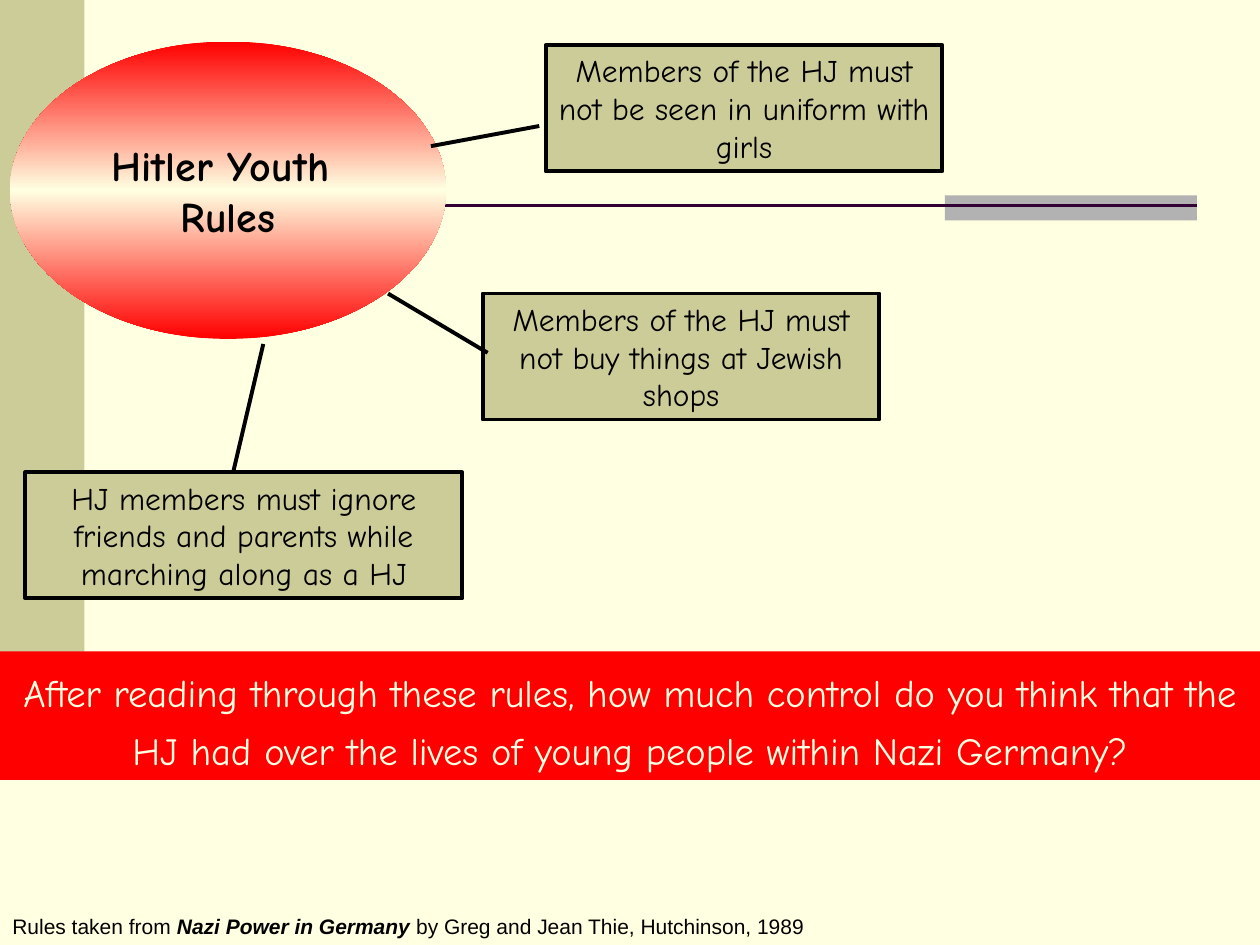
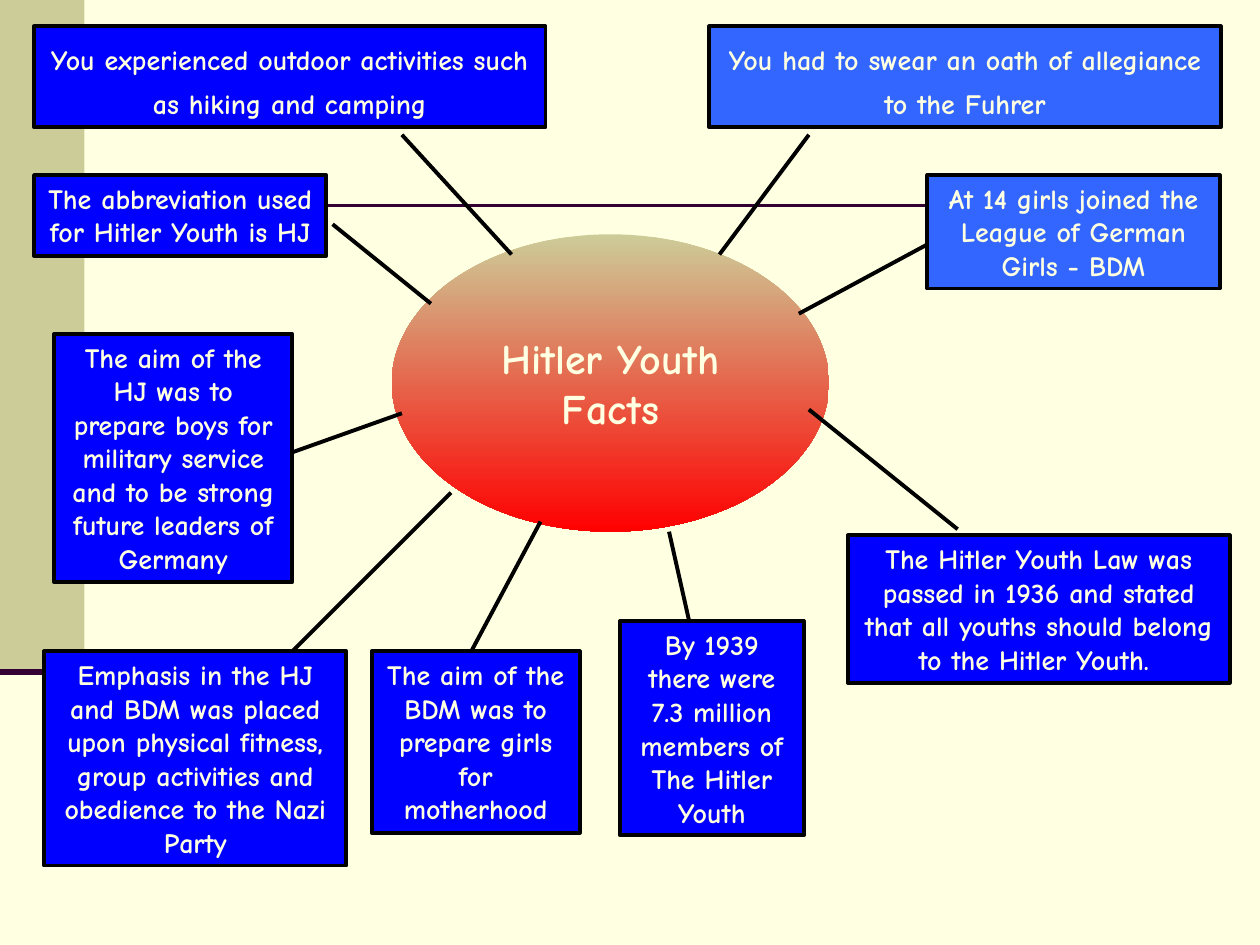
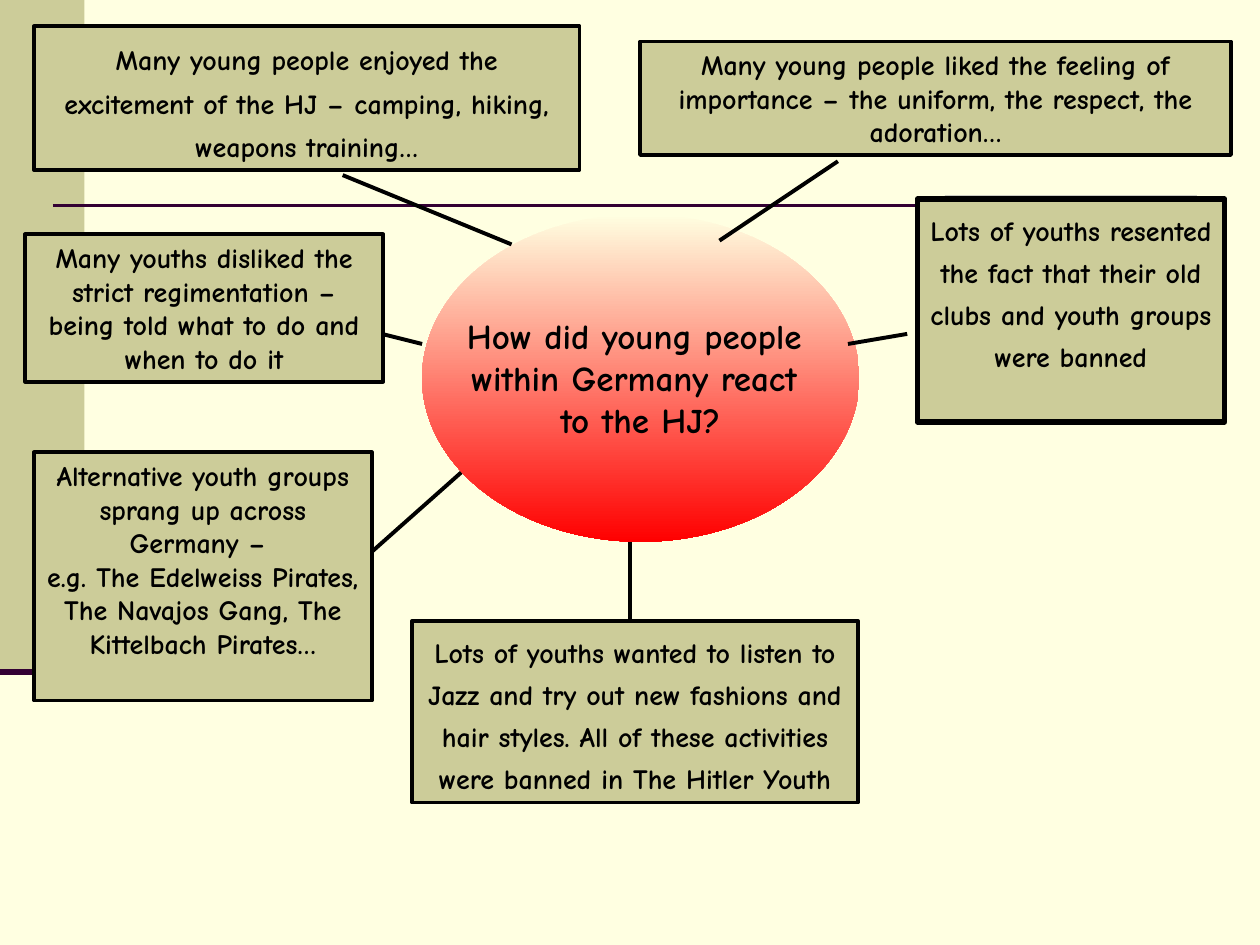
from copy import deepcopy

from lxml.etree import SubElement
from pptx import Presentation
from pptx.dml.color import RGBColor
from pptx.enum.shapes import MSO_CONNECTOR, MSO_SHAPE
from pptx.enum.text import MSO_ANCHOR, PP_ALIGN
from pptx.oxml.ns import qn
from pptx.util import Inches, Pt

CREAM = RGBColor(0xFF, 0xFF, 0xE1)
KHAKI = RGBColor(0xCC, 0xCC, 0x99)
GREY = RGBColor(0xB2, 0xB2, 0xB2)
PLUM = RGBColor(0x33, 0x00, 0x33)
RED = RGBColor(0xFF, 0x00, 0x00)
BLUE = RGBColor(0x00, 0x00, 0xFF)
SKY = RGBColor(0x33, 0x66, 0xFF)
BLACK = RGBColor(0x00, 0x00, 0x00)
FONT = "Comic Neue"

# Hub: text, place, size, gradient. Box: text, place, then any options.
# Link: x and y at the hub, x and y at the box. "\v" breaks a line.
RULES = {
    "hub": ("Hitler Youth \vRules", (0.08, 0.33, 3.46, 2.36), 24, (RED, CREAM, RED)),
    "style": {"fill": KHAKI, "color": BLACK, "size": 18, "bold": False},
    "boxes": [
        ("Members of the HJ must not be seen in uniform with girls",
         (4.33, 0.36, 3.15, 1), {}),
        ("Members of the HJ must not buy things at Jewish shops",
         (3.83, 2.33, 3.15, 1), {}),
        ("HJ members must ignore friends and parents while marching along as a HJ",
         (0.2, 3.75, 3.47, 1), {}),
    ],
    "links": [(3.42, 1.16, 4.28, 1), (3.08, 2.33, 3.87, 2.8), (2.09, 2.73, 1.85, 3.75)],
}
FACTS = {
    "hub": ("Hitler Youth\nFacts", (3.11, 1.86, 3.47, 2.36), 24, (KHAKI, RED)),
    "style": {"fill": BLUE, "color": CREAM, "size": 16, "bold": True},
    "boxes": [
        ("You had to swear an oath of allegiance to the Fuhrer",
         (5.63, 0.21, 4.06, 0.8), {"fill": SKY, "spacing": 1.3}),
        ("You experienced outdoor activities such as hiking and camping",
         (0.27, 0.21, 4.06, 0.8), {"spacing": 1.3}),
        ("The abbreviation used for Hitler Youth is HJ", (0.27, 1.39, 2.32, 0.64), {}),
        ("By 1939 there were 7.3 million members of The Hitler Youth",
         (4.92, 4.93, 1.46, 1.7), {}),
        ("The Hitler Youth Law was passed in 1936 and stated that all youths "
         "should belong to the Hitler Youth. ", (6.73, 4.25, 3.03, 1.17), {}),
        ("The aim of the BDM was to prepare girls for motherhood",
         (2.95, 5.17, 1.65, 1.44), {}),
        ("The aim of the HJ was to prepare boys for military service and to be "
         "strong future leaders of Germany", (0.43, 2.65, 1.89, 1.97), {}),
        ("Emphasis in the HJ and BDM was placed upon physical fitness, group "
         "activities and obedience to the Nazi Party", (0.35, 5.17, 2.4, 1.7), {}),
        ("At 14 girls joined the League of German Girls - BDM",
         (7.36, 1.39, 2.32, 0.9), {"fill": SKY}),
    ],
    "links": [
        (5.71, 2.02, 6.42, 1.07), (4.06, 2.02, 3.19, 1.07), (3.42, 2.41, 2.64, 1.78),
        (6.34, 2.49, 7.36, 1.94), (3.19, 3.28, 2.32, 3.59), (3.58, 3.91, 2.32, 5.17),
        (6.42, 3.25, 7.6, 4.2), (5.31, 4.22, 5.47, 4.93), (4.29, 4.14, 3.74, 5.17),
    ],
}
VIEWS = {
    "hub": ("How did young people \vwithin Germany react \vto the HJ?",
            (3.35, 1.7, 3.47, 2.6), 20, (CREAM, RED)),
    "style": {"fill": KHAKI, "color": BLACK, "size": 16, "bold": True},
    "boxes": [
        ("Many young people liked the feeling of importance – the uniform, "
         "the respect, the adoration…", (5.08, 0.33, 4.69, 0.9), {}),
        ("Lots of youths wanted to listen to Jazz and try out new fashions and hair "
         "styles. All of these activities were banned in The Hitler Youth",
         (3.27, 4.93, 3.54, 1.44), {"spacing": 1.25}),
        ("Many young people enjoyed the excitement of the HJ – camping, hiking, "
         "weapons training…", (0.27, 0.21, 4.33, 1.14), {"spacing": 1.3}),
        ("Alternative youth groups sprang up across Germany – \ve.g. The Edelweiss "
         "Pirates, The Navajos Gang, The Kittelbach Pirates…",
         (0.27, 3.59, 2.68, 1.97), {}),
        ("Many youths disliked the strict regimentation – being told what to do "
         "and when to do it", (0.2, 1.86, 2.84, 1.17), {}),
        ("Lots of youths resented the fact that their old clubs and youth groups "
         "were banned", (7.28, 1.58, 2.44, 1.77), {"spacing": 1.25, "edge": 3}),
    ],
    "links": [
        (5.71, 1.91, 6.65, 1.28), (6.73, 2.73, 7.2, 2.65), (5, 4.3, 5, 4.93),
        (3.66, 3.75, 2.95, 4.38), (3.35, 2.73, 3.03, 2.65), (4.06, 1.94, 2.72, 1.39),
    ],
}
TASK = ("After reading through these rules, how much control do you think that the "
        "HJ had over the lives of young people within Nazi Germany?")
SOURCE = [("Rules taken from ", False), ("Nazi Power in Germany", True),
          (" by Greg and Jean Thie, Hutchinson, 1989", False)]


def add_block(slide, place, fill=None, kind=MSO_SHAPE.RECTANGLE):
    block = slide.shapes.add_shape(kind, *map(Inches, place))
    block.shadow.inherit = False
    block.line.fill.background()
    if fill is not None:
        block.fill.solid()
        block.fill.fore_color.rgb = fill
    return block


def add_line(slide, ends, color=BLACK, width=2.25):
    line = slide.shapes.add_connector(MSO_CONNECTOR.STRAIGHT, *map(Inches, ends))
    line.line.color.rgb = color
    line.line.width = Pt(width)
    SubElement(line._element.spPr, qn("a:effectLst"))
    return line


def write(shape, text, size, color, bold, spacing=1, anchor=MSO_ANCHOR.TOP, wrap=True):
    frame = shape.text_frame
    frame.word_wrap = wrap
    frame.vertical_anchor = anchor
    frame.text = text
    for para in frame.paragraphs:
        para.alignment = PP_ALIGN.CENTER
        para.line_spacing = spacing
        font = para.font
        font.name, font.size, font.bold = FONT, Pt(size), bold
        font.color.rgb = color


def add_box(slide, text, place, fill, edge=2.25, **look):
    box = add_block(slide, place, fill)
    box.line.color.rgb = BLACK
    box.line.width = Pt(edge)
    write(box, text, **look)


def add_hub(slide, text, place, size, shades, color):
    hub = add_block(slide, place, kind=MSO_SHAPE.OVAL)
    hub.fill.gradient()
    hub.fill.gradient_angle = 270
    stops = hub._element.spPr.find(".//" + qn("a:gsLst"))
    for _ in shades[2:]:
        stops.append(deepcopy(stops[0]))
    for i, (stop, shade) in enumerate(zip(hub.fill.gradient_stops, shades)):
        stop.color.rgb = shade
        stop.position = i / (len(shades) - 1)
    write(hub, text, size, color, True, anchor=MSO_ANCHOR.MIDDLE, wrap=False)


def add_map(slide, topic):
    style = topic["style"]
    add_hub(slide, *topic["hub"], style["color"])
    for text, place, extra in topic["boxes"]:
        add_box(slide, text, place, **{**style, **extra})
    for ends in topic["links"]:
        add_line(slide, ends)


def dress_master(deck, slide):
    """Draw the shared backdrop on a slide and move it to the master."""
    master = deck.slide_master
    master.background.fill.solid()
    master.background.fill.fore_color.rgb = CREAM
    parts = [
        add_block(slide, (0, 0, 0.67, 5.33), KHAKI),
        add_block(slide, (7.5, 1.55, 2, 0.2), GREY),
        add_line(slide, (0.42, 1.63, 9.5, 1.63), PLUM, 1.5),
        add_line(slide, (0, 5.33, 0.67, 5.33), PLUM, 3.5),
    ]
    for part in parts:
        master.shapes._spTree.append(part._element)


def add_source(slide):
    note = slide.shapes.add_textbox(*map(Inches, (0, 7.2, 6.5, 0.3)))
    note.text_frame.word_wrap = True
    para = note.text_frame.paragraphs[0]
    para.font.name, para.font.size = "Arial", Pt(12)
    para.font.color.rgb = BLACK
    for text, strong in SOURCE:
        run = para.add_run()
        run.text = text
        run.font.bold = run.font.italic = strong


def main():
    deck = Presentation()
    deck.slide_width, deck.slide_height = Inches(10), Inches(7.5)
    blank = deck.slide_layouts[6]
    rules, facts, views = [deck.slides.add_slide(blank) for _ in range(3)]
    dress_master(deck, rules)

    add_map(rules, RULES)
    band = add_block(rules, (0, 5.17, 10, 1.02), RED)
    write(band, TASK, 22, CREAM, False, spacing=1.25)
    add_source(rules)

    add_map(facts, FACTS)
    add_map(views, VIEWS)
    deck.save("out.pptx")


if __name__ == "__main__":
    main()
